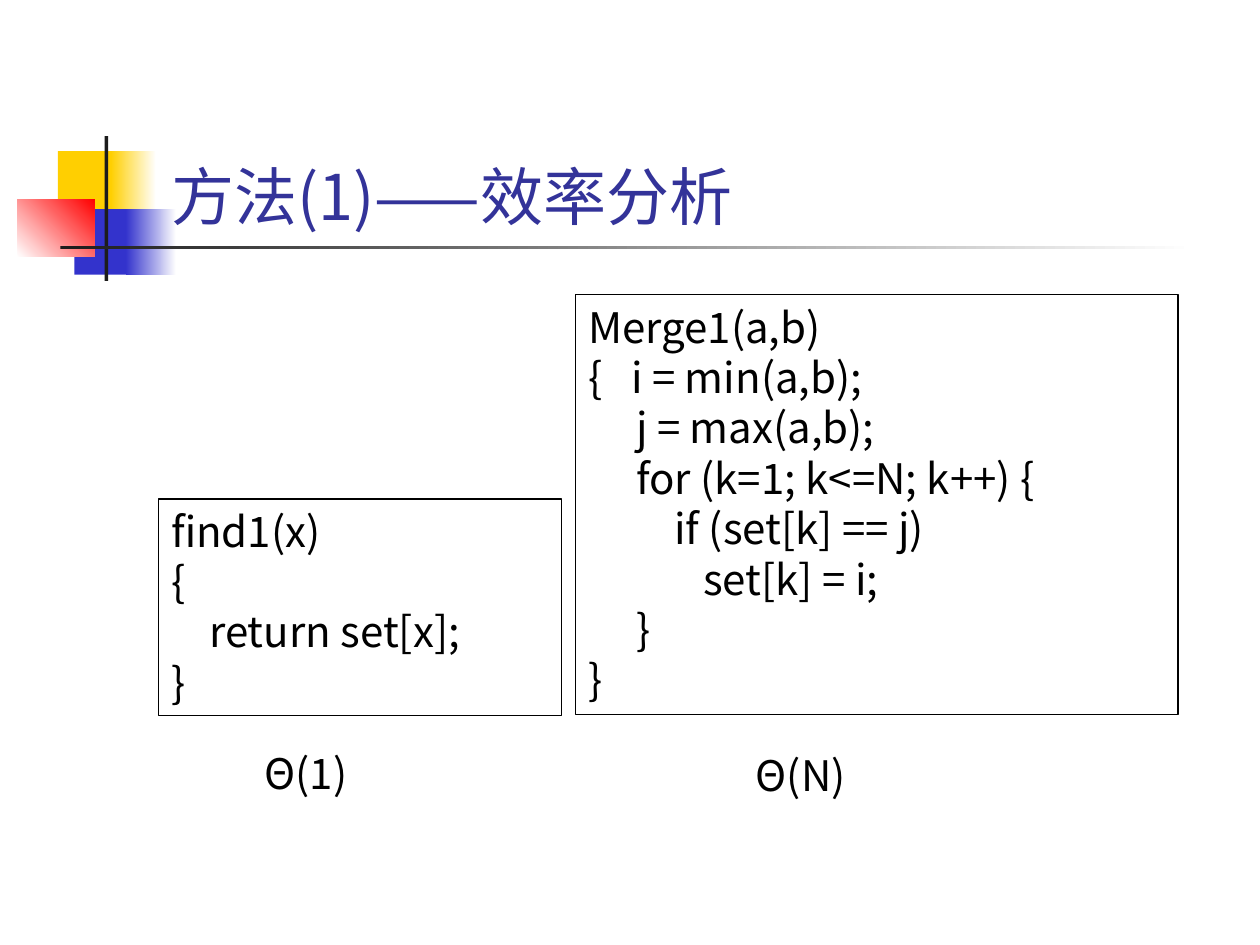
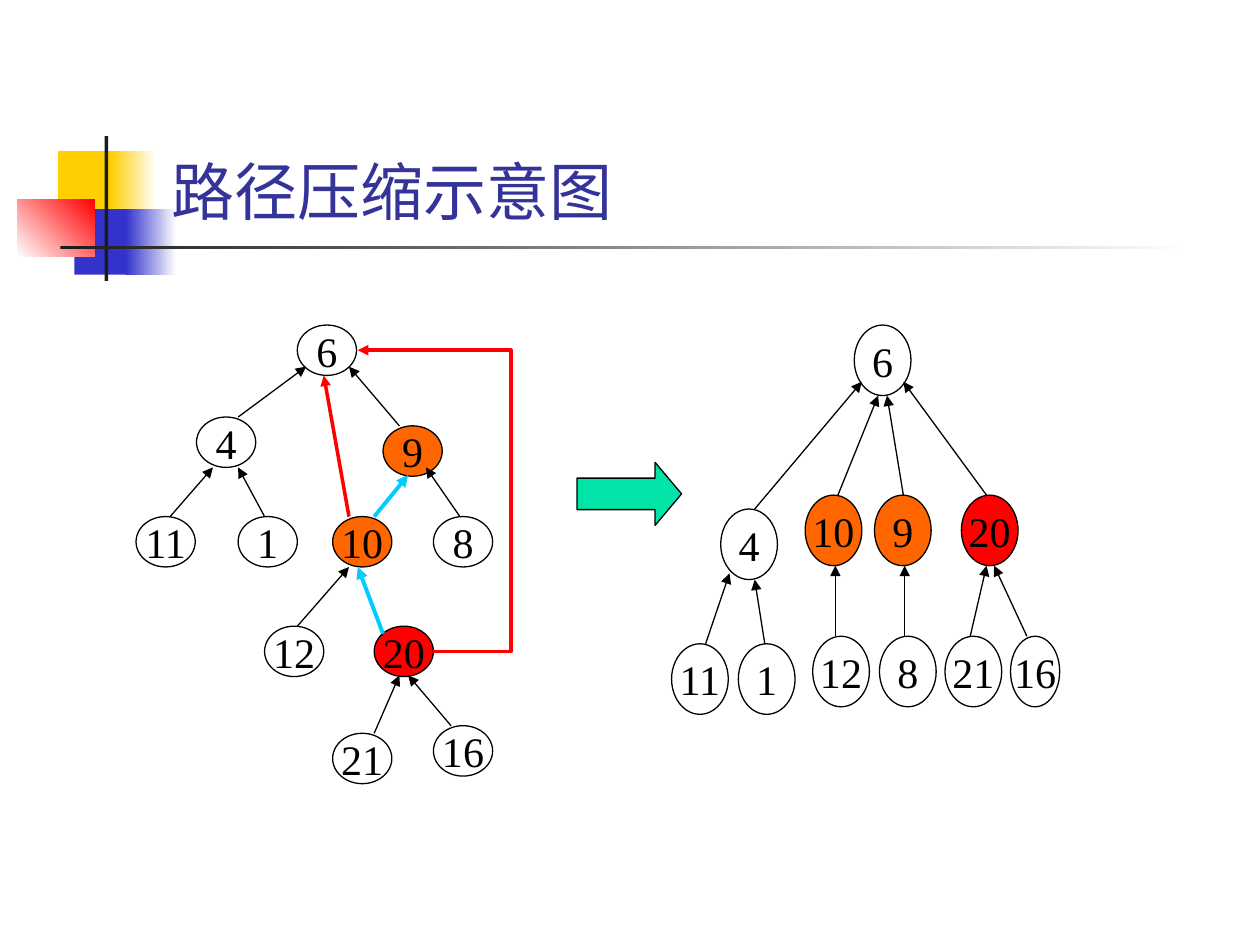
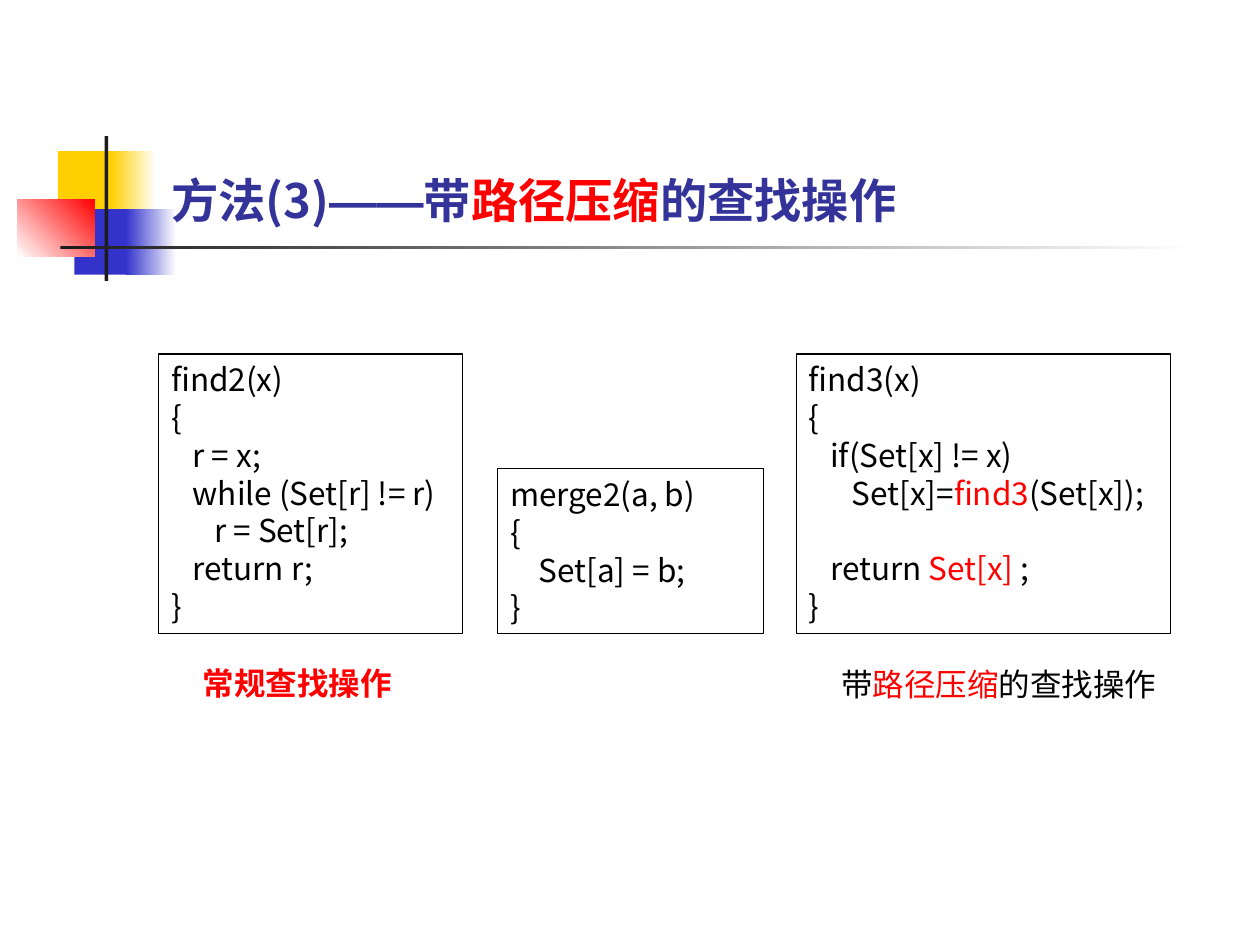
"""Build three slides on union-find: cost analysis, path compression and its code."""
from lxml.etree import SubElement
from pptx import Presentation
from pptx.dml.color import RGBColor
from pptx.enum.shapes import MSO_CONNECTOR as Connector, MSO_SHAPE as Shape
from pptx.enum.text import MSO_ANCHOR as Anchor, PP_ALIGN as Align
from pptx.oxml.ns import qn
from pptx.util import Emu, Pt

PX = 9144
SPACE_EM = 0.228
LINE_EM = 1.2
TAB_SPACES = 4.5

COLORS = {
    "black": "000000", "white": "FFFFFF", "red": "FF0000", "title": "333399",
    "gold": "FFCF01", "blue": "3333CC", "ink": "1C1C1C", "orange": "FF6600",
    "cyan": "00CCFF", "green": "00E4A8",
}
ARIAL, KR, SC, TIMES = "Arial", "Noto Sans CJK KR", "Noto Sans CJK SC", "Times New Roman"

DECORATION = [
    ((46, 120, 48, 52), ["gold"], 0),
    ((88, 120, 36, 52), ["gold", "white"], 0),
    ((59, 166, 46, 52), ["blue"], 0),
    ((100, 166, 40, 52), ["blue", "white"], 0),
    ((14, 158, 61, 46), ["white", "red"], 45),
    ((83, 108, 3, 115), ["ink"], 0),
    ((48, 195, 900, 3), ["ink", "white"], 0),
]

WIDE_TITLE = (126, 23, 852, 160)
ANALYSIS_TITLE = [("方法", "title", ARIAL), ("(1)——", "title", KR), ("效率分析", "title", ARIAL)]
TREE_TITLE = [("路径压缩示意图", "title", ARIAL)]
FIND_TITLE = [
    ("方法", "title", ARIAL), ("(3)", "title", SC), ("——带", "title", ARIAL),
    ("路径压缩", "red", ARIAL), ("的查找操作", "title", ARIAL),
]

ANALYSIS_CODE = [
    ((126, 396, 320, 172), [(0, "find1(x)"), (0, "{"), (4, "return set[x];"), (0, "}")]),
    ((457, 234, 478, 333), [
        (0, "Merge1(a,b)"), (0, "{\ti = min(a,b);"), (5, "j = max(a,b);"),
        (5, "for (k=1; k<=N; k++) {"), (9, "if (set[k] == j)"),
        (12, "set[k] = i;"), (5, "}"), (0, "}"),
    ]),
]
ANALYSIS_COSTS = [((200, 588, 91, 50), "Θ(1)"), ((590, 590, 95, 50), "Θ(N)")]

FIND_CODE = [
    ((126, 281, 241, 222), [
        (0, "find2(x)"), (0, "{"), (3, "r = x;"), (3, "while (Set[r] != r)"),
        (6, "r = Set[r];"), (3, "return r;"), (0, "}"),
    ]),
    ((395, 372, 211, 131), [(0, "merge2(a, b)"), (0, "{"), (4, "Set[a] = b;"), (0, "}")]),
    ((632, 281, 297, 222), [
        (0, "find3(x)"), (0, "{"), (3, "if(Set[x] != x)"),
        (6, [("Set[x]=", "black", KR), ("find3", "red", KR), ("(Set[x]);", "black", KR)]),
        (3, [("return ", "black", KR), ("Set[x] ", "red", KR), (";", "black", KR)], 1),
        (0, "}"),
    ]),
]
FIND_LABELS = [
    ((658, 523, 273, 40),
     [("带", "black", SC), ("路径压缩", "red", SC), ("的查找操作", "black", SC)], False),
    ((151, 522, 208, 40), [("常规查找操作", "red", SC)], True),
]

TREE_BEFORE = {
    "size": (47, 40),
    "nodes": [
        ("9", 304, 338, "orange"), ("10", 264, 410, "orange"), ("8", 344, 410, "white"),
        ("12", 210, 497, "white"), ("20", 297, 497, "red"), ("21", 264, 582, "white"),
        ("16", 344, 576, "white"), ("4", 156, 331, "white"), ("6", 236, 258, "white"),
        ("11", 108, 410, "white"), ("1", 189, 410, "white"),
    ],
    "edges": [
        (317, 338, 277, 291), (365, 410, 338, 371), (236, 497, 277, 450),
        (297, 582, 317, 536), (358, 576, 324, 536), (189, 331, 243, 291),
        (135, 410, 169, 371), (210, 410, 189, 371),
    ],
}
TREE_AFTER = {
    "size": (45, 56),
    "nodes": [
        ("6", 678, 258, "white"), ("4", 572, 404, "white"), ("11", 533, 511, "white"),
        ("1", 586, 511, "white"), ("10", 639, 393, "orange"), ("12", 645, 505, "white"),
        ("9", 694, 393, "orange"), ("8", 698, 505, "white"), ("20", 763, 393, "red"),
        ("21", 750, 505, "white"), ("16", 802, 505, "white", 39),
    ],
    "edges": [
        (599, 404, 684, 303), (560, 511, 579, 455), (607, 511, 599, 460),
        (663, 505, 663, 449), (718, 505, 718, 449), (770, 505, 783, 449),
        (815, 505, 789, 449), (665, 393, 697, 314), (717, 393, 704, 314),
        (783, 393, 717, 303),
    ],
}
SEARCH_PATH = [(297, 410, 324, 377), (304, 503, 284, 450)]
SHORTCUT = (277, 410, 257, 298)
DETOUR = (344, 517, 284, 278)
DETOUR_BEND = -102600
ARROW = (458, 367, 83, 50)


def emu(lengths):
    return [Emu(length * PX) for length in lengths]


def color(name):
    return RGBColor.from_string(COLORS[name])


def add_shape(slide, kind, box, fills=(), line=None, angle=0):
    shape = slide.shapes.add_shape(kind, *emu(box))
    shape.shadow.inherit = False
    if len(fills) == 2:
        shape.fill.gradient()
        shape.fill.gradient_angle = angle
        for stop, name in zip(shape.fill.gradient_stops, fills):
            stop.color.rgb = color(name)
    elif fills:
        shape.fill.solid()
        shape.fill.fore_color.rgb = color(fills[0])
    else:
        shape.fill.background()
    if line:
        shape.line.color.rgb = color(line)
        shape.line.width = Pt(0.75)
    else:
        shape.line.fill.background()
    return shape


def add_runs(paragraph, runs, size, bold=False):
    for text, name, typeface in runs:
        run = paragraph.add_run()
        run.text = text
        font = run.font
        font.size, font.bold, font.name = Pt(size), bold, typeface
        font.color.rgb = color(name)
        SubElement(run._r.get_or_add_rPr(), qn("a:ea"), typeface=typeface)


def add_text(slide, box, runs, size, bold=False, anchor=Anchor.TOP):
    frame = slide.shapes.add_textbox(*emu(box)).text_frame
    frame.word_wrap = True
    frame.vertical_anchor = anchor
    paragraph = frame.paragraphs[0]
    paragraph.line_spacing = Pt(size * LINE_EM)
    add_runs(paragraph, runs, size, bold)
    return frame


def add_code(slide, box, lines, size):
    frame = add_shape(slide, Shape.RECTANGLE, box, line="black").text_frame
    frame.word_wrap = True
    frame.vertical_anchor = Anchor.TOP
    space = Pt(size * SPACE_EM)
    for index, (indent, content, *skipped) in enumerate(lines):
        paragraph = frame.add_paragraph() if index else frame.paragraphs[0]
        paragraph.alignment = Align.LEFT
        paragraph.line_spacing = Pt(size * LINE_EM)
        if skipped:
            paragraph.space_before = Pt(size * LINE_EM * skipped[0])
        properties = paragraph._p.get_or_add_pPr()
        properties.set("marL", str(indent * space))
        if "\t" in content:
            tabs = SubElement(properties, qn("a:tabLst"))
            SubElement(tabs, qn("a:tab"), pos=str(int(TAB_SPACES * space)), algn="l")
        runs = [(content, "black", KR)] if isinstance(content, str) else content
        add_runs(paragraph, runs, size)


def add_arrow(slide, points, name="black", width=0.75, kind=Connector.STRAIGHT):
    connector = slide.shapes.add_connector(kind, *emu(points))
    connector.line.color.rgb = color(name)
    connector.line.width = Pt(width)
    SubElement(connector.line._get_or_add_ln(), qn("a:tailEnd"), type="triangle")
    SubElement(connector._element.spPr, qn("a:effectLst"))
    return connector


def add_tree(slide, tree):
    width, height = tree["size"]
    for label, left, top, fill, *narrow in tree["nodes"]:
        box = (left, top, narrow[0] if narrow else width, height)
        frame = add_shape(slide, Shape.OVAL, box, [fill], "black").text_frame
        frame.word_wrap = False
        frame.vertical_anchor = Anchor.MIDDLE
        frame.paragraphs[0].alignment = Align.CENTER
        add_runs(frame.paragraphs[0], [(label, "black", TIMES)], 24)
    for edge in tree["edges"]:
        add_arrow(slide, edge)


def add_slide(presentation, title, box, size=36, bold=False):
    slide = presentation.slides.add_slide(presentation.slide_layouts[6])
    for area, fills, angle in DECORATION:
        add_shape(slide, Shape.RECTANGLE, area, fills, angle=angle)
    frame = add_text(slide, box, title, size, bold, Anchor.BOTTOM)
    frame.margin_bottom = Emu(2 * PX)
    return slide


def build_analysis(presentation):
    slide = add_slide(presentation, ANALYSIS_TITLE, (126, 93, 696, 94))
    for box, lines in ANALYSIS_CODE:
        add_code(slide, box, lines, 24)
    for box, cost in ANALYSIS_COSTS:
        add_text(slide, box, [(cost, "black", KR)], 24)


def build_trees(presentation):
    slide = add_slide(presentation, TREE_TITLE, WIDE_TITLE)
    add_tree(slide, TREE_BEFORE)
    for step in SEARCH_PATH:
        add_arrow(slide, step, "cyan", 2.25)
    detour = add_arrow(slide, DETOUR, "red", 2, Connector.ELBOW)
    guides = detour._element.spPr.find(qn("a:prstGeom")).get_or_add_avLst()
    SubElement(guides, qn("a:gd"), name="adj1", fmla=f"val {DETOUR_BEND}")
    add_arrow(slide, SHORTCUT, "red", 2)
    add_tree(slide, TREE_AFTER)
    arrow = add_shape(slide, Shape.RIGHT_ARROW, ARROW, ["green"], "black")
    arrow.adjustments[1] = 0.42


def build_find(presentation):
    slide = add_slide(presentation, FIND_TITLE, WIDE_TITLE, 27, True)
    for box, lines in FIND_CODE:
        add_code(slide, box, lines, 18)
    for box, runs, bold in FIND_LABELS:
        add_text(slide, box, runs, 18, bold)


def main():
    presentation = Presentation()
    presentation.slide_width, presentation.slide_height = emu((1000, 750))
    build_analysis(presentation)
    build_trees(presentation)
    build_find(presentation)
    presentation.save("out.pptx")


if __name__ == "__main__":
    main()
